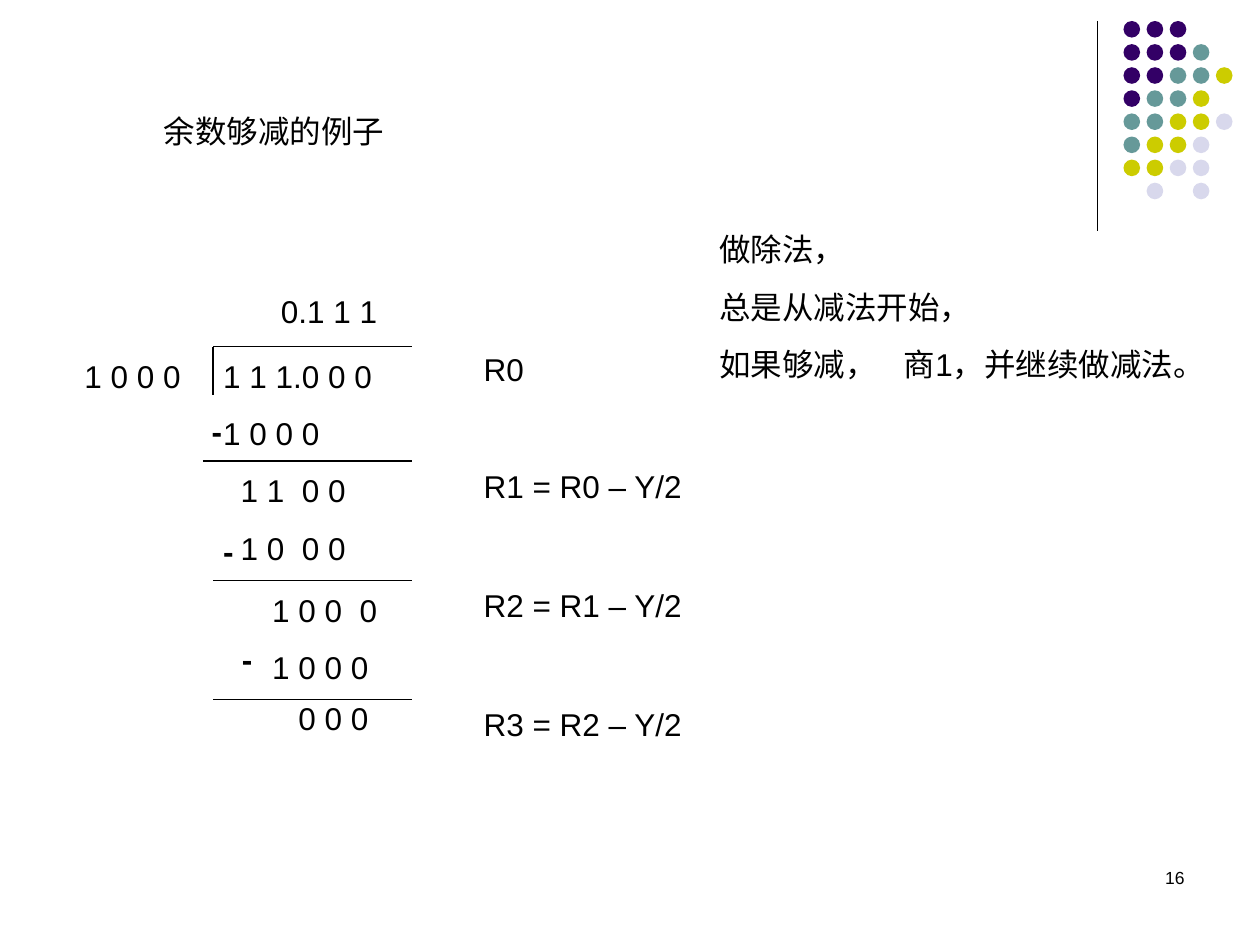
from pptx import Presentation
from pptx.dml.color import RGBColor
from pptx.enum import shapes, text
from pptx.oxml.ns import qn
from pptx.util import Pt
from lxml import etree

BLACK = RGBColor(0, 0, 0)
DOTS = {
    "P": RGBColor(0x33, 0x00, 0x66),
    "T": RGBColor(0x66, 0x99, 0x99),
    "Y": RGBColor(0xCC, 0xCC, 0x00),
    "L": RGBColor(0xD8, 0xD8, 0xEC),
}
# One string per row of the corner pattern; a dot marks an empty place
ROWS = ["PPP", "PPPT", "PPTTY", "PTTY", "TTYYL", "TYYL", "YYLL", ".L.L"]


def rule(slide, x1, y1, x2, y2):
    line = slide.shapes.add_connector(
        shapes.MSO_CONNECTOR.STRAIGHT, Pt(x1), Pt(y1), Pt(x2), Pt(y2))
    line.line.color.rgb = BLACK
    line.line.width = Pt(0.75)
    etree.SubElement(line._element.spPr, qn("a:effectLst"))


def dot(slide, x, y, color):
    disc = slide.shapes.add_shape(
        shapes.MSO_SHAPE.OVAL, Pt(x), Pt(y), Pt(9.5), Pt(9.5))
    disc.shadow.inherit = False
    disc.fill.solid()
    disc.fill.fore_color.rgb = color
    disc.line.fill.background()


def add_tab(para, stop):
    tabs = etree.SubElement(para._p.get_or_add_pPr(), qn("a:tabLst"))
    etree.SubElement(tabs, qn("a:tab"), pos=str(Pt(stop)), algn="l")


def write(slide, x, y, w, h, *lines, size=18, bold=False, pad=(0, 0),
          wrap=True, align=None, tab=None):
    box = slide.shapes.add_textbox(Pt(x), Pt(y), Pt(w), Pt(h))
    frame = box.text_frame
    frame.word_wrap = wrap
    frame.margin_left = frame.margin_right = Pt(pad[0])
    frame.margin_top = frame.margin_bottom = Pt(pad[1])
    frame.vertical_anchor = text.MSO_ANCHOR.TOP
    for i, line in enumerate(lines):
        para = frame.paragraphs[0] if i == 0 else frame.add_paragraph()
        if "\t" in line:
            add_tab(para, tab)
        if i:
            para.space_before = Pt(11.2)
        if align is not None:
            para.alignment = align
        run = para.add_run()
        run.text = line
        run.font.name = "Arial"
        run.font.size = Pt(size)
        run.font.bold = bold
        run.font.color.rgb = BLACK


def corner(slide):
    rule(slide, 627, 12, 627, 132)
    for r, row in enumerate(ROWS):
        for c, key in enumerate(row):
            if key in DOTS:
                dot(slide, 642 + 13.2 * c, 12 + 13.2 * r, DOTS[key])


def division(slide):
    # Bracket and subtraction rules
    rule(slide, 121.75, 198, 235.5, 198)
    rule(slide, 121.75, 198, 121.75, 226)
    for x, y in [(116, 263.5), (121.75, 331.75), (121.75, 399.75)]:
        rule(slide, x, y, 235.5, y)

    # Divisor, quotient, dividend and remainders
    write(slide, 48.25, 203.75, 68, 21.5, "1 0 0 0")
    write(slide, 160.5, 167, 97, 21.5, "0.1 1 1")
    write(slide, 127.5, 203.75, 108, 55, "1 1 1.0 0 0", "1 0 0 0")
    write(slide, 137.5, 269.25, 92, 55, "1 1\t0 0", "1 0\t0 0", tab=35)
    write(slide, 155.5, 337.75, 86, 55, "1 0 0\t0", "1 0 0 0", tab=50)
    write(slide, 170.5, 399.75, 87, 21.5, "0 0 0")

    # Minus signs
    for x, y in [(121, 235.5), (127.5, 303.75), (138.25, 365.75)]:
        write(slide, x, y, 11.5, 21.5, "-", bold=True)


def labels(slide):
    pad = (7.2, 3.6)
    write(slide, 86.4, 60.5, 140.4, 29, "余数够减的例子", pad=pad, wrap=False)
    write(slide, 269.25, 196.5, 42.5, 29, "R0", pad=pad, wrap=False)
    for n in (1, 2, 3):
        write(slide, 269.25, 195.5 + 68 * n, 132.5, 29,
              f"R{n} = R{n - 1} – Y/2", pad=pad, wrap=False)
    write(slide, 411, 128, 289.5, 95, "做除法，", "总是从减法开始，",
          "如果够减，\t商1，并继续做减法。", pad=(0, 3.6), tab=105.5)
    write(slide, 516.25, 491.75, 167.75, 36, "16", size=10, pad=pad,
          align=text.PP_ALIGN.RIGHT)


def main():
    deck = Presentation()
    deck.slide_width, deck.slide_height = Pt(720), Pt(540)
    slide = deck.slides.add_slide(deck.slide_layouts[6])
    corner(slide)
    division(slide)
    labels(slide)
    deck.save("out.pptx")


if __name__ == "__main__":
    main()
